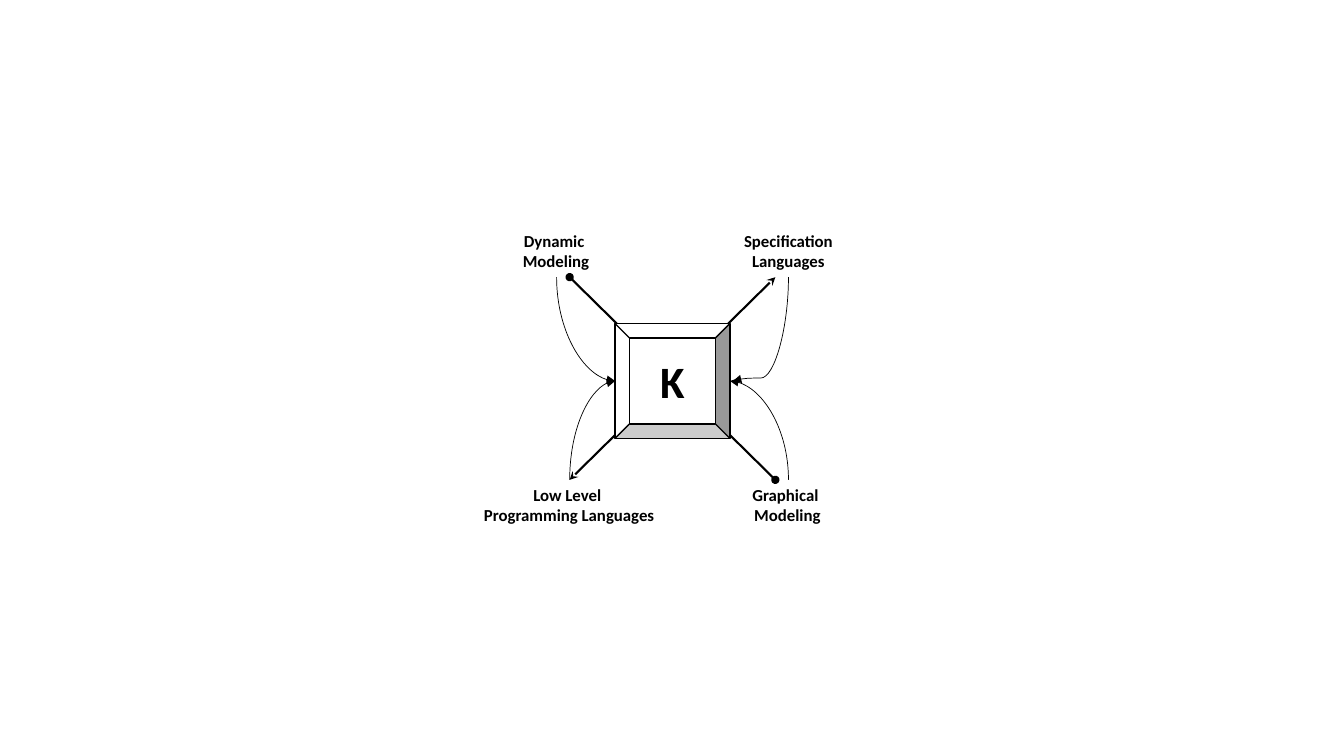
"""Build the slide of the K bevel linked to four kinds of language and modeling."""
from dataclasses import dataclass

from lxml.etree import SubElement
from pptx import Presentation
from pptx.dml.color import RGBColor
from pptx.enum.shapes import MSO_CONNECTOR, MSO_SHAPE
from pptx.enum.text import MSO_ANCHOR, MSO_AUTO_SIZE, PP_ALIGN
from pptx.oxml.ns import qn
from pptx.util import Emu, Pt

PX = 9144
BLACK = "000000"
WHITE = "FFFFFF"
FONT = "Calibri"


@dataclass(frozen=True)
class Label:
    lines: tuple[str, str]
    left: int
    top: int
    width: int
    height: int = 50


@dataclass(frozen=True)
class Diagonal:
    start: tuple[int, int]
    end: tuple[int, int]
    arrow: str


@dataclass(frozen=True)
class Curve:
    start: tuple[int, int]
    end: tuple[int, int]
    preset: str = "curvedConnector2"
    adjust: int | None = None


DIAGONALS = [
    Diagonal((565, 476), (769, 275), "stealth"),
    Diagonal((769, 476), (565, 275), "oval"),
]
LABELS = [
    Label(("Specification", "Languages"), 727, 224, 110),
    Label(("Low Level ", "Programming Languages"), 469, 476, 191),
    Label(("Dynamic ", "Modeling"), 508, 224, 87),
    Label(("Graphical ", "Modeling"), 736, 476, 90),
]
CURVES = [
    Curve((782, 275), (727, 378), "curvedConnector3", 97200),
    Curve((552, 275), (610, 378)),
    Curve((565, 476), (610, 378)),
    Curve((782, 476), (724, 378)),
]


def px(n: float) -> Emu:
    return Emu(round(n * PX))


def rgb(value: str) -> RGBColor:
    return RGBColor.from_string(value)


def style_line(sp, width: float, head: str | None, tail: str) -> None:
    sp.line.color.rgb = rgb(BLACK)
    sp.line.width = Pt(width)
    ln = sp.line._get_or_add_ln()
    if head:
        SubElement(ln, qn("a:headEnd"), type=head)
    SubElement(ln, qn("a:tailEnd"), type=tail)
    SubElement(sp._element.spPr, qn("a:effectLst"))


def write(p, text: str, size: int) -> None:
    p.text = text
    p.alignment = PP_ALIGN.CENTER
    p.font.name = FONT
    p.font.size = Pt(size)
    p.font.bold = True
    p.font.color.rgb = rgb(BLACK)


def draw_diagonal(s, d: Diagonal) -> None:
    sp = s.shapes.add_connector(
        MSO_CONNECTOR.STRAIGHT, *map(px, d.start), *map(px, d.end))
    style_line(sp, 1.5, d.arrow, d.arrow)


def draw_label(s, label: Label) -> None:
    sp = s.shapes.add_textbox(
        px(label.left), px(label.top), px(label.width), px(label.height))
    tf = sp.text_frame
    tf.word_wrap = False
    tf.auto_size = MSO_AUTO_SIZE.SHAPE_TO_FIT_TEXT
    write(tf.paragraphs[0], label.lines[0], 12)
    write(tf.add_paragraph(), label.lines[1], 12)


def draw_bevel(s) -> None:
    sp = s.shapes.add_shape(MSO_SHAPE.BEVEL, px(610), px(321), px(114), px(114))
    sp.shadow.inherit = False
    sp.fill.solid()
    sp.fill.fore_color.rgb = rgb(WHITE)
    sp.line.color.rgb = rgb(BLACK)
    sp.line.width = Pt(1)
    sp.text_frame.vertical_anchor = MSO_ANCHOR.MIDDLE
    write(sp.text_frame.paragraphs[0], "K", 32)


def draw_curve(s, c: Curve) -> None:
    (x1, y1), (x2, y2) = c.start, c.end
    width, height = abs(y2 - y1), abs(x2 - x1)
    left, top = (x1 + x2 - width) / 2, (y1 + y2 - height) / 2
    sp = s.shapes.add_connector(
        MSO_CONNECTOR.CURVE, px(left), px(top), px(left + width), px(top + height))
    rightward, upward = x2 > x1, y2 < y1
    xfrm = sp._element.spPr.find(qn("a:xfrm"))
    xfrm.set("rot", str((90 if rightward == upward else 270) * 60000))
    xfrm.set("flipH", str(int(rightward)))
    xfrm.set("flipV", str(int(upward)))
    geom = sp._element.spPr.find(qn("a:prstGeom"))
    geom.set("prst", c.preset)
    if c.adjust is not None:
        guides = geom.find(qn("a:avLst"))
        SubElement(guides, qn("a:gd"), name="adj1", fmla=f"val {c.adjust}")
    style_line(sp, 0.5, None, "triangle")


def main() -> None:
    prs = Presentation()
    prs.slide_width, prs.slide_height = px(1333), px(750)
    s = prs.slides.add_slide(prs.slide_layouts[6])
    for d in DIAGONALS:
        draw_diagonal(s, d)
    for label in LABELS:
        draw_label(s, label)
    draw_bevel(s)
    for c in CURVES:
        draw_curve(s, c)
    prs.save("out.pptx")


if __name__ == "__main__":
    main()
